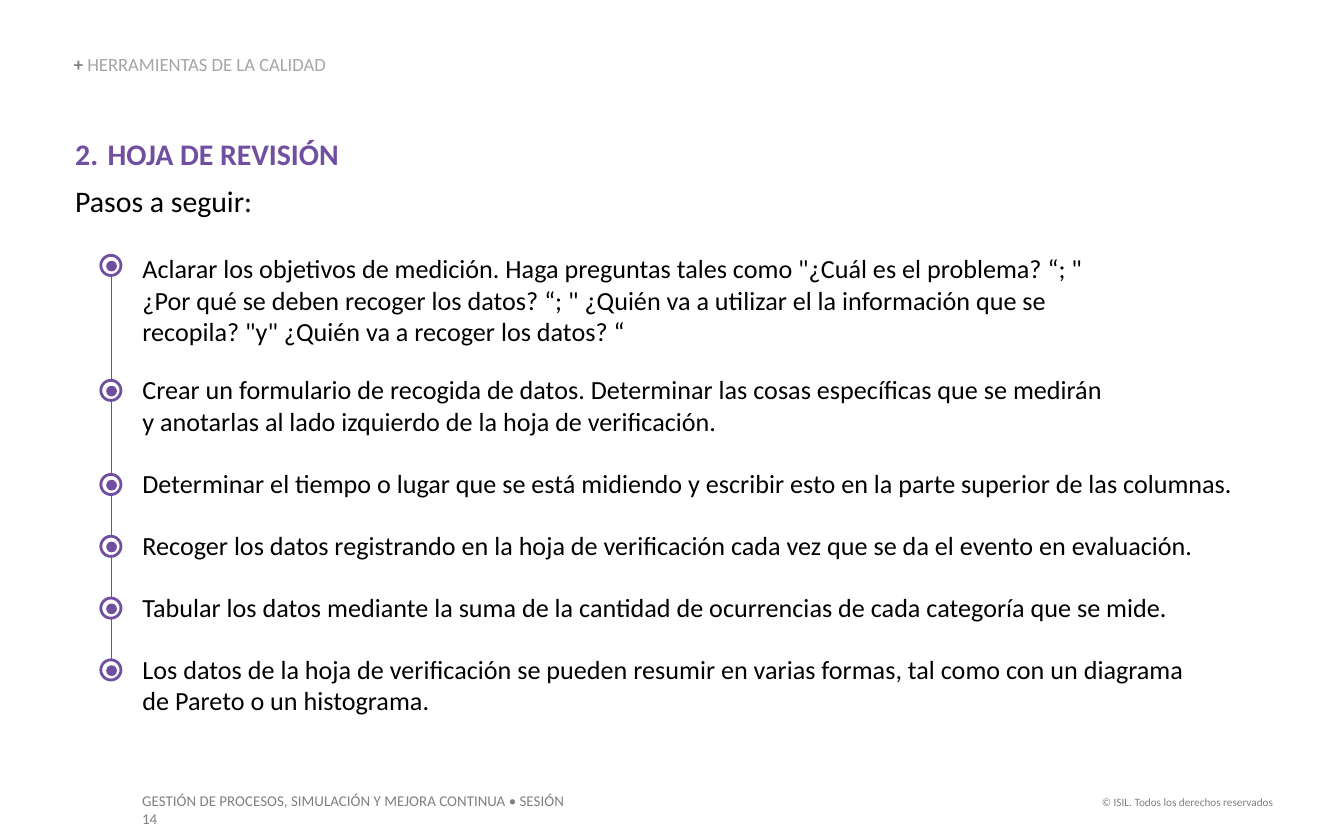
import pptx
import pptx.chart.data
import pptx.dml.color
import pptx.enum.shapes
import pptx.enum.text
import pptx.oxml.ns
import pptx.util
from lxml import etree

PX = 9144  # 100 px to the inch
HUE = {"violet": "714FA0", "black": "000000", "gray": "808080",
       "pale": "A6A6A6", "white": "FFFFFF"}
STEPS = [  # text top, ring top, text width, wording
    (188, 190, 719, 'Aclarar los objetivos de medición. Haga preguntas tales como "¿Cuál es el '
     'problema? “; " ¿Por qué se deben recoger los datos? “; " ¿Quién va a utilizar el la '
     'información que se recopila? "y" ¿Quién va a recoger los datos? “'),
    (278, 283, 719, "Crear un formulario de recogida de datos. Determinar las cosas específicas "
     "que se medirán y anotarlas al lado izquierdo de la hoja de verificación."),
    (348, 353, 843, "Determinar el tiempo o lugar que se está midiendo y escribir esto en la "
     "parte superior de las columnas."),
    (394, 399, 791, "Recoger los datos registrando en la hoja de verificación cada vez que se "
     "da el evento en evaluación."),
    (440, 445, 791, "Tabular los datos mediante la suma de la cantidad de ocurrencias de cada "
     "categoría que se mide."),
    (486, 491, 791, "Los datos de la hoja de verificación se pueden resumir en varias formas, "
     "tal como con un diagrama de Pareto o un histograma."),
]
RING, DOT = 15, 8


def rgb(name):
    return pptx.dml.color.RGBColor.from_string(HUE[name])


def write(box, text, size, hue, pads=(0, 0, 0, 0)):
    """Fill a box with wrapped text; pads are left, top, right, bottom."""
    frame = box.text_frame
    frame.text = text
    frame.word_wrap = True
    frame.auto_size = pptx.enum.text.MSO_AUTO_SIZE.NONE
    frame.margin_left, frame.margin_top, frame.margin_right, frame.margin_bottom = (
        pad * PX for pad in pads)
    for para in frame.paragraphs:
        para.alignment = pptx.enum.text.PP_ALIGN.LEFT
        for run in para.runs:
            run.font.name = "Calibri"
            run.font.size = pptx.util.Pt(size)
            run.font.color.rgb = rgb(hue)
    return frame


deck = pptx.Presentation()
deck.slide_width, deck.slide_height = 1000 * PX, 625 * PX
slide = deck.slides.add_slide(deck.slide_layouts[5])
shapes = slide.shapes

# Section title
title = shapes.title
title.left, title.top, title.width, title.height = 55 * PX, 41 * PX, 266 * PX, 15 * PX
frame = write(title, "+ ", 10, "gray")
frame.vertical_anchor = pptx.enum.text.MSO_ANCHOR.BOTTOM
para = frame.paragraphs[0]
para.line_spacing = 0.9
para.runs[0].font.bold = True
run = para.add_run()
run.text = "HERRAMIENTAS DE LA CALIDAD"
run.font.name = "Calibri"
run.font.size = pptx.util.Pt(10)
run.font.bold = False
run.font.color.rgb = rgb("pale")

# Footer
foot = shapes.add_textbox(96 * PX, 584 * PX, 353 * PX, 24 * PX)
write(foot, "GESTIÓN DE PROCESOS, SIMULACIÓN Y MEJORA CONTINUA • SESIÓN 14",
      8, "gray", (10, 5, 23, 5))
rights = shapes.add_textbox(807 * PX, 587 * PX, 150 * PX, 20 * PX)
frame = write(rights, "© ISIL. Todos los derechos reservados", 6, "gray", (0, 5, 10, 5))
frame.paragraphs[0].alignment = pptx.enum.text.PP_ALIGN.RIGHT

# Numbered heading and lead-in
head = shapes.add_textbox(56 * PX, 101 * PX, 841 * PX, 67 * PX)
frame = write(head, "HOJA DE REVISIÓN\nPasos a seguir:", 16, "black", (0, 0, 0, 5))
for para in frame.paragraphs:
    para.space_after = pptx.util.Pt(6)
first = frame.paragraphs[0]
props = first._p.get_or_add_pPr()
props.set("marL", str(24 * PX))
props.set("indent", str(-24 * PX))
etree.SubElement(props, pptx.oxml.ns.qn("a:buAutoNum"), type="arabicPeriod", startAt="2")
first.runs[0].font.bold = True
first.runs[0].font.color.rgb = rgb("violet")

# Timeline from the first ring to the last
mid = 83
line = shapes.add_connector(pptx.enum.shapes.MSO_CONNECTOR.STRAIGHT, mid * PX,
                            (STEPS[0][1] + RING) * PX, mid * PX, STEPS[-1][1] * PX)
line.line.color.rgb = rgb("violet")
line.line.width = pptx.util.Pt(1)
etree.SubElement(line._element.spPr, pptx.oxml.ns.qn("a:effectLst"))

for top, ring, wide, text in STEPS:
    box = shapes.add_textbox(106 * PX, top * PX, wide * PX, 24 * PX)
    write(box, text, 14, "black")
    mark = shapes.add_group_shape()
    for size, gap, hue in ((RING, 0, "white"), (DOT, 4, "violet")):
        disc = mark.shapes.add_shape(pptx.enum.shapes.MSO_SHAPE.OVAL, (75 + gap) * PX,
                                     (ring + gap) * PX, size * PX, size * PX)
        disc.shadow.inherit = False
        disc.fill.solid()
        disc.fill.fore_color.rgb = rgb(hue)
        if hue == "white":
            disc.line.color.rgb = rgb("violet")
            disc.line.width = pptx.util.Pt(1.5)
        else:
            disc.line.fill.background()

deck.save("out.pptx")
